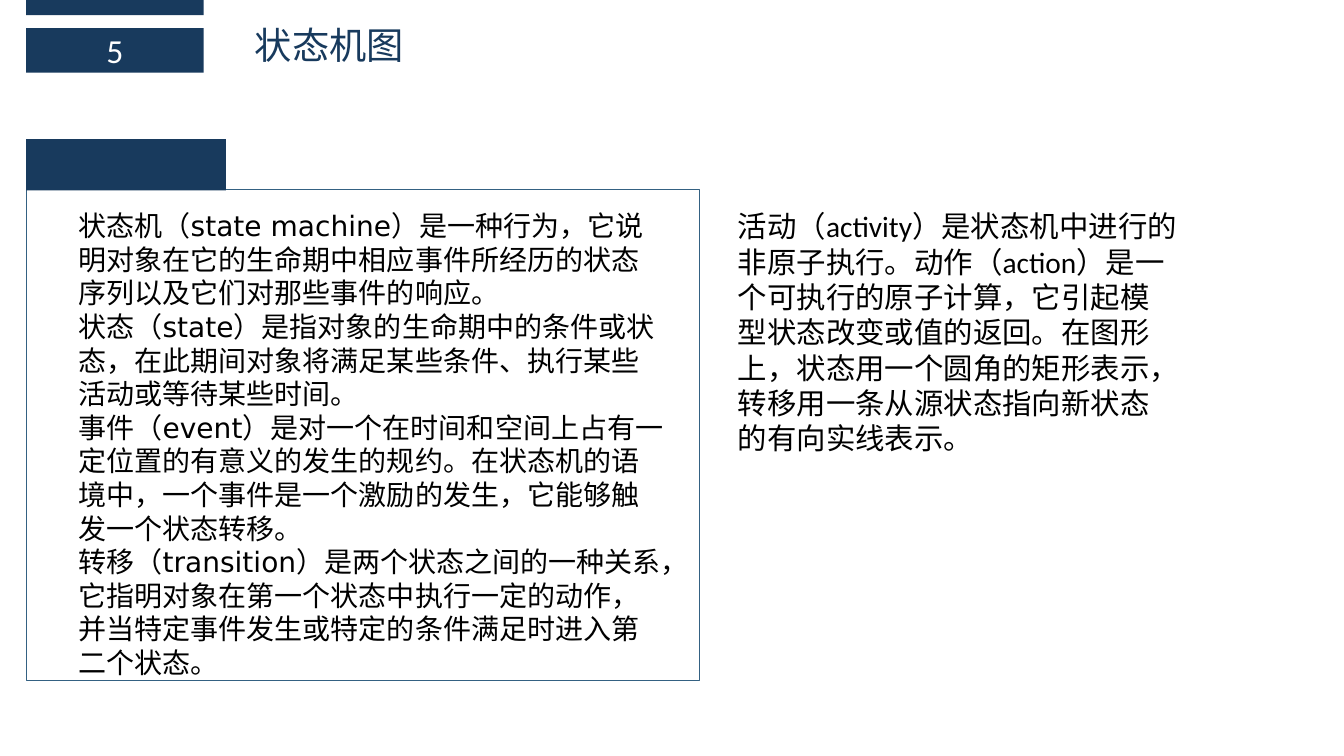
"""Build the state machine diagram slide."""
from dataclasses import dataclass
from typing import Optional

from lxml.etree import SubElement
from pptx import Presentation
from pptx.dml.color import RGBColor
from pptx.dml.fill import FillFormat
from pptx.enum.shapes import MSO_SHAPE
from pptx.enum.text import MSO_ANCHOR, MSO_AUTO_SIZE, PP_ALIGN
from pptx.oxml.ns import qn
from pptx.slide import Slide
from pptx.text.text import TextFrame
from pptx.util import Inches, Pt

NAVY = "183A5D"
BORDER = "346182"
BLACK = "000000"
WHITE = "FFFFFF"
CJK_FONT = "Noto Sans CJK SC"
MARGIN = 0.26
TAB_WIDTH = 1.76
BODY_TOP = 2.02


@dataclass(frozen=True)
class Passage:
    paragraphs: tuple[str, ...]
    size: float
    font: str
    color: str
    align: PP_ALIGN = PP_ALIGN.LEFT


@dataclass(frozen=True)
class Block:
    left: float
    top: float
    width: float
    height: float
    fill: Optional[str] = None
    line: Optional[str] = None
    passage: Optional[Passage] = None


@dataclass(frozen=True)
class Caption:
    left: float
    top: float
    width: float
    height: float
    passage: Passage


DEFINITIONS = (
    "状态机（state machine）是一种行为，它说明对象在它的生命期中相应事件所经历的状态序列以及它们对那些事件的响应。",
    "状态（state）是指对象的生命期中的条件或状态，在此期间对象将满足某些条件、执行某些活动或等待某些时间。",
    "事件（event）是对一个在时间和空间上占有一定位置的有意义的发生的规约。在状态机的语境中，一个事件是一个激励的发生，它能够触发一个状态转移。",
    "转移（transition）是两个状态之间的一种关系，它指明对象在第一个状态中执行一定的动作，并当特定事件发生或特定的条件满足时进入第二个状态。",
)
ACTIVITY = (
    "活动（activity）是状态机中进行的非原子执行。动作（action）是一个可执行的原子计算，它引起模型状态改变或值的返回。"
    "在图形上，状态用一个圆角的矩形表示，转移用一条从源状态指向新状态的有向实线表示。"
)

BLOCKS = (
    Block(MARGIN, 0, TAB_WIDTH, 0.15, fill=NAVY),
    Block(MARGIN, 0.28, TAB_WIDTH, 0.44, fill=NAVY,
          passage=Passage(("5",), 24, "Calibri", WHITE, PP_ALIGN.CENTER)),
    Block(MARGIN, 1.88, 6.68, 4.87, line=BORDER),
    Block(MARGIN, 1.38, 1.98, 0.51, fill=NAVY),
)
CAPTIONS = (
    Caption(2.43, 0.17, 6.62, 0.55, Passage(("状态机图",), 26.6, CJK_FONT, NAVY)),
    Caption(0.68, BODY_TOP, 6.04, 4.81, Passage(DEFINITIONS, 20, "DejaVu Sans", BLACK)),
    Caption(7.22, BODY_TOP, 4.57, 2.57, Passage((ACTIVITY,), 21, "Calibri", BLACK)),
)


def rgb(color: str) -> RGBColor:
    """Turn a hex string into a colour."""
    return RGBColor.from_string(color)


def paint(fill: FillFormat, color: Optional[str]) -> None:
    """Fill with a solid colour, or with nothing."""
    if color is None:
        fill.background()
    else:
        fill.solid()
        fill.fore_color.rgb = rgb(color)


def write(frame: TextFrame, passage: Passage) -> None:
    """Write the paragraphs of a passage into a frame."""
    font_format = {"size": Pt(passage.size), "name": passage.font}
    for index, wording in enumerate(passage.paragraphs):
        paragraph = frame.paragraphs[0] if index == 0 else frame.add_paragraph()
        paragraph.alignment = passage.align
        run = paragraph.add_run()
        run.text = wording
        for name, value in font_format.items():
            setattr(run.font, name, value)
        run.font.color.rgb = rgb(passage.color)
        SubElement(run.font._element, qn("a:ea"), typeface=CJK_FONT)


def draw_block(slide: Slide, block: Block) -> None:
    """Draw a rectangle with its optional text."""
    rectangle = slide.shapes.add_shape(
        MSO_SHAPE.RECTANGLE, Inches(block.left), Inches(block.top),
        Inches(block.width), Inches(block.height))
    rectangle.shadow.inherit = False
    paint(rectangle.fill, block.fill)
    paint(rectangle.line.fill, block.line)
    if block.line:
        rectangle.line.width = Pt(1)
    if block.passage:
        rectangle.text_frame.vertical_anchor = MSO_ANCHOR.MIDDLE
        write(rectangle.text_frame, block.passage)


def draw_caption(slide: Slide, caption: Caption) -> None:
    """Draw a wrapped text box that grows with its text."""
    frame = slide.shapes.add_textbox(
        Inches(caption.left), Inches(caption.top),
        Inches(caption.width), Inches(caption.height)).text_frame
    frame_format = {"word_wrap": True, "auto_size": MSO_AUTO_SIZE.SHAPE_TO_FIT_TEXT}
    for name, value in frame_format.items():
        setattr(frame, name, value)
    write(frame, caption.passage)


def main() -> None:
    """Build and save the slide."""
    deck = Presentation()
    deck_format = {"slide_width": Inches(13.33), "slide_height": Inches(7.5)}
    for name, value in deck_format.items():
        setattr(deck, name, value)
    slide = deck.slides.add_slide(deck.slide_layouts[6])
    for block in BLOCKS:
        draw_block(slide, block)
    for caption in CAPTIONS:
        draw_caption(slide, caption)
    deck.save("out.pptx")


if __name__ == "__main__":
    main()
